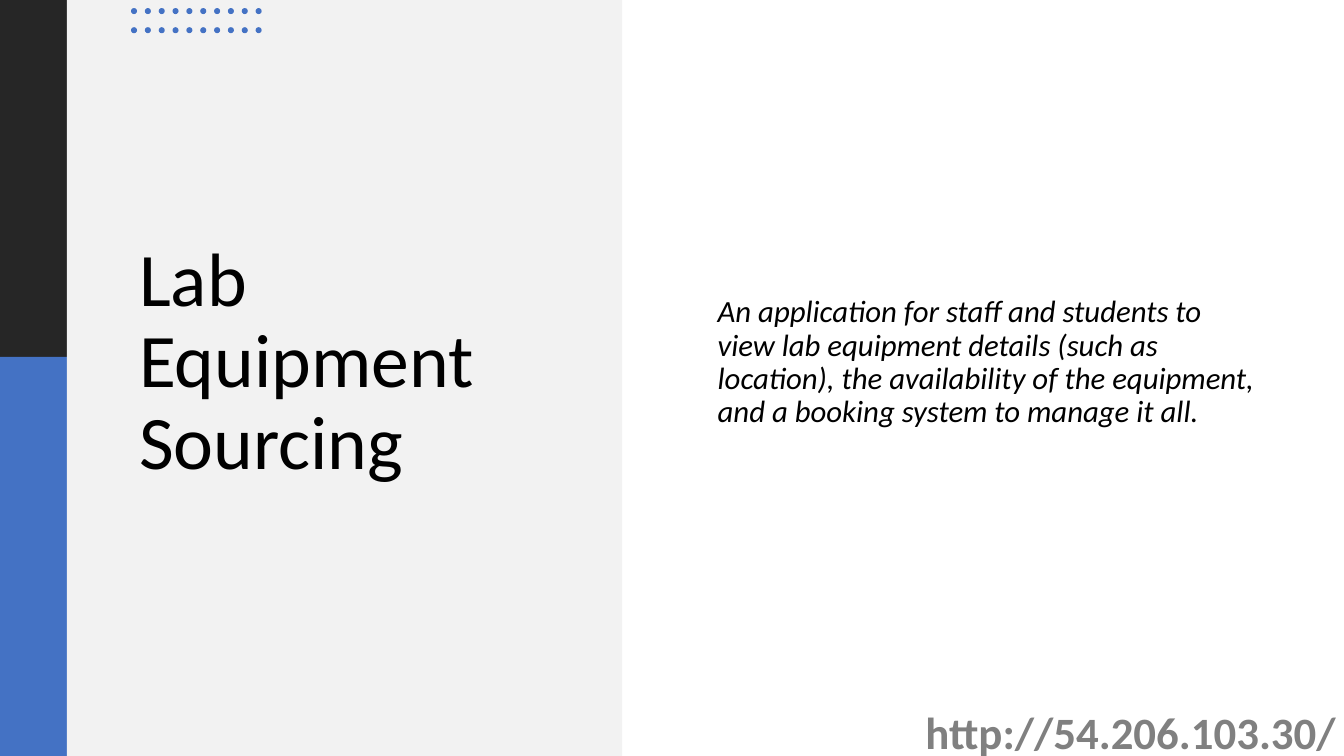
from pptx import Presentation
from pptx.dml.color import RGBColor
from pptx.enum.shapes import MSO_SHAPE
from pptx.enum.text import MSO_ANCHOR, MSO_AUTO_SIZE, PP_ALIGN
from pptx.util import Inches, Pt

RECT, OVAL = MSO_SHAPE.RECTANGLE, MSO_SHAPE.OVAL
TOP, MIDDLE = MSO_ANCHOR.TOP, MSO_ANCHOR.MIDDLE
NO_FIT, LEFT = MSO_AUTO_SIZE.NONE, PP_ALIGN.LEFT

WIDTH, HEIGHT = Inches(13.33), Inches(7.5)
TITLE_ONLY = 5
BLUE = "4472C4"


def color(hex_code):
    return RGBColor.from_string(hex_code)


class Slide:
    """Holds the style and the slide; all lengths are percent of its size."""
    font = "Calibri"

    def __init__(self, prs):
        self.s = prs.slides.add_slide(prs.slide_layouts[TITLE_ONLY])

    def box(self, x, y, w, h):
        return [round(share * side / 100) for share, side in
                zip((x, y, w, h), (WIDTH, HEIGHT, WIDTH, HEIGHT))]

    def shape(self, kind, area, fill, parent=None):
        sp = (parent or self.s).shapes.add_shape(kind, *self.box(*area))
        sp.shadow.inherit = False
        sp.fill.solid()
        sp.fill.fore_color.rgb = color(fill)
        sp.line.fill.background()

    def dots(self, x, y, columns, rows, dx, dy, size, fill):
        group = self.s.shapes.add_group_shape()
        for row in range(rows):
            for col in range(columns):
                self.shape(OVAL, (x + col * dx, y + row * dy, *size), fill, group)

    def set_text(self, sp, text, hex_code, anchor=MIDDLE, wrap=True, spacing=1.0,
                 before=0, **font):
        tf = sp.text_frame
        frame = {"word_wrap": wrap, "auto_size": NO_FIT, "vertical_anchor": anchor}
        for name, value in frame.items():
            setattr(tf, name, value)
        p = tf.paragraphs[0]
        p.alignment, p.line_spacing, p.space_before = LEFT, spacing, Pt(before)
        r = p.add_run()
        r.text = text
        r.font.color.rgb = color(hex_code)
        for name, value in {"name": self.font, **font}.items():
            setattr(r.font, name, value)

    def title(self, area, text, hex_code, **style):
        sp = self.s.shapes.title
        sp.left, sp.top, sp.width, sp.height = self.box(*area)
        self.set_text(sp, text, hex_code, **style)
        # Bring the title in front of the panel
        self.s.shapes._spTree.append(sp._element)

    def text(self, area, text, hex_code, **style):
        sp = self.s.shapes.add_textbox(*self.box(*area))
        self.set_text(sp, text, hex_code, **style)


def main():
    prs = Presentation()
    prs.slide_width, prs.slide_height = WIDTH, HEIGHT
    slide = Slide(prs)

    # Side bar and title panel
    bar, split, panel = 4.98, 47.2, 41.32
    slide.shape(RECT, (0, 0, bar, split), "262626")
    slide.shape(RECT, (0, split, bar, 100 - split), BLUE)
    slide.shape(RECT, (bar, 0, panel, 100), "F2F2F2")

    # Title and dot pattern
    slide.title((9.6, 19.47, 32.18, 57.2), "Lab Equipment Sourcing", "000000",
                spacing=0.9, size=Pt(54))
    slide.dots(9.75, 1.07, 10, 2, 1.03, 2.53, (0.45, 0.8), BLUE)

    # Description and address
    slide.text((52.66, 7.33, 41.86, 81.33),
               "An application for staff and students to view lab equipment "
               "details (such as location), the availability of the equipment, "
               "and a booking system to manage it all.",
               "000000", spacing=0.9, before=10, size=Pt(22), italic=True)
    slide.text((68.12, 92.53, 31.88, 7.47), "http://54.206.103.30/", "808080",
               anchor=TOP, wrap=False, size=Pt(32), bold=True)

    prs.save("out.pptx")


if __name__ == "__main__":
    main()
